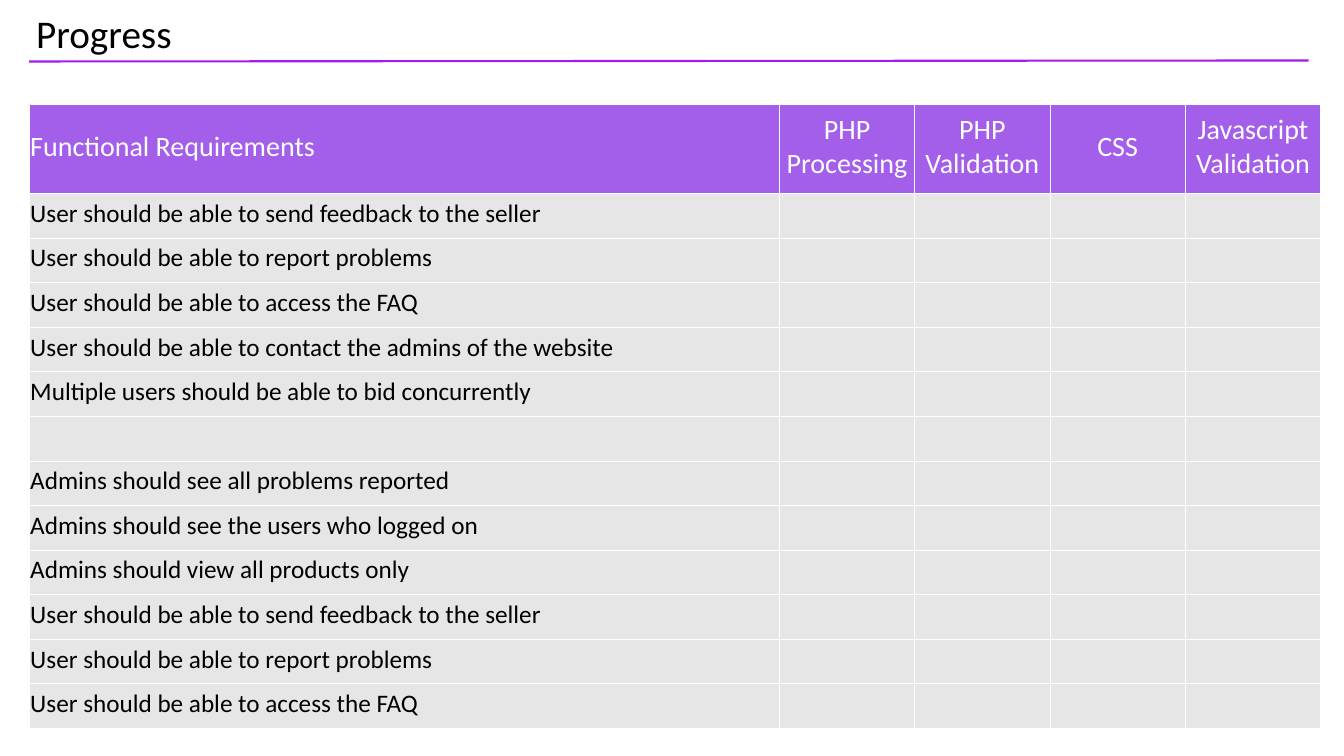
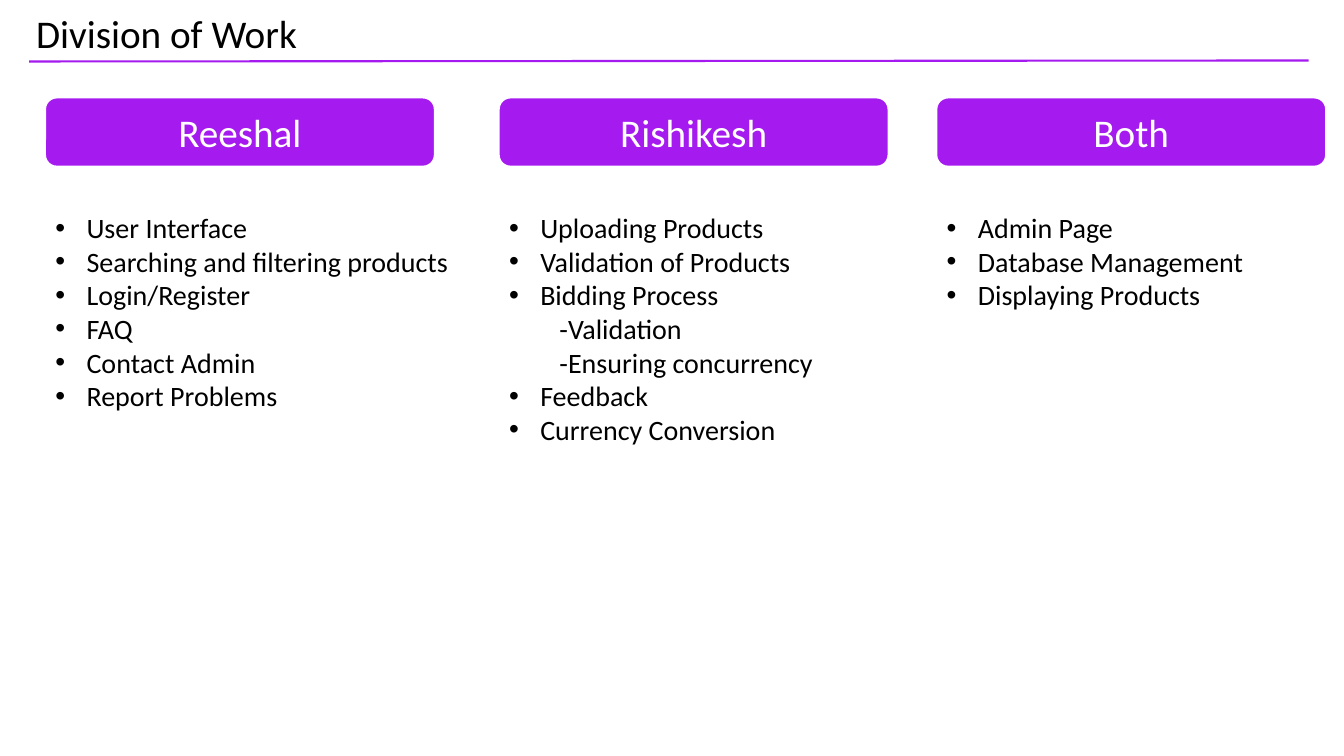
from lxml import etree
from pptx import Presentation
from pptx.dml.color import RGBColor
from pptx.enum.shapes import MSO_CONNECTOR, MSO_SHAPE
from pptx.enum.text import MSO_ANCHOR, MSO_AUTO_SIZE, PP_ALIGN
from pptx.oxml.ns import qn
from pptx.util import Inches, Pt

STRAIGHT = MSO_CONNECTOR.STRAIGHT
ROUNDED = MSO_SHAPE.ROUNDED_RECTANGLE
MIDDLE = MSO_ANCHOR.MIDDLE
GROW = MSO_AUTO_SIZE.SHAPE_TO_FIT_TEXT
LEFT, CENTER = PP_ALIGN.LEFT, PP_ALIGN.CENTER

PURPLE = RGBColor(0xA5, 0x1A, 0xEF)
HEADER_PURPLE = RGBColor(0xA3, 0x5E, 0xEA)
GREY = RGBColor(0xE7, 0xE6, 0xE6)
WHITE = RGBColor(0xFF, 0xFF, 0xFF)
BLACK = RGBColor(0, 0, 0)
FONT = "Calibri"

CELL_FORMAT = {
    "vertical_anchor": MIDDLE,
    "margin_left": Inches(0.01),
    "margin_right": Inches(0.01),
    "margin_top": Inches(0.01),
    "margin_bottom": Inches(0.05),
}
TABLE_FORMAT = {"first_row": True, "horz_banding": False}

HEADERS = ["Functional Requirements", "PHP Processing", "PHP Validation",
           "CSS", "Javascript Validation"]
FEEDBACK = "User should be able to send feedback to the seller"
REPORT = "User should be able to report problems"
FAQ = "User should be able to access the FAQ"
REQUIREMENTS = [
    FEEDBACK, REPORT, FAQ,
    "User should be able to contact the admins of the website",
    "Multiple users should be able to bid concurrently",
    "",
    "Admins should see all problems reported",
    "Admins should see the users who logged on",
    "Admins should view all products only",
    FEEDBACK, REPORT, FAQ,
]

# Left edge, person, tasks; a leading dash marks a sub-task
ASSIGNMENTS = [
    (0.45, "Reeshal", ["User Interface", "Searching and filtering products",
                       "Login/Register", "FAQ", "Contact Admin",
                       "Report Problems"]),
    (4.95, "Rishikesh", ["Uploading Products", "Validation of Products",
                         "Bidding Process", "-Validation",
                         "-Ensuring concurrency", "Feedback",
                         "Currency Conversion"]),
    (9.29, "Both", ["Admin Page", "Database Management",
                    "Displaying Products"]),
]


def apply_format(target, values):
    for name, value in values.items():
        setattr(target, name, value)


def write(paragraph, text, size, color, align=LEFT):
    paragraph.alignment = align
    # An empty paragraph still needs its size for the row height
    font = paragraph.font
    if text:
        run = paragraph.add_run()
        run.text = text
        font = run.font
    apply_format(font, {"name": FONT, "size": Pt(size)})
    font.color.rgb = color


def add_text_box(slide, left, top, width, height):
    box = slide.shapes.add_textbox(Inches(left), Inches(top),
                                   Inches(width), Inches(height))
    apply_format(box.text_frame, {"word_wrap": True, "auto_size": GROW})
    return box.text_frame


def add_titled_slide(deck, title):
    slide = deck.slides.add_slide(deck.slide_layouts[6])
    rule = slide.shapes.add_connector(STRAIGHT, Inches(0.29), Inches(0.61),
                                      Inches(12.98), Inches(0.6))
    rule.line.color.rgb = PURPLE
    rule.line.width = Pt(1.5)
    etree.SubElement(rule._element.spPr, qn("a:effectLst"))
    heading = add_text_box(slide, 0.26, 0.04, 5.26, 0.57)
    write(heading.paragraphs[0], title, 28, BLACK)
    return slide


def add_borders(cell):
    properties = cell._tc.get_or_add_tcPr()
    for side in ("lnL", "lnR", "lnT", "lnB"):
        border = etree.SubElement(properties, qn(f"a:{side}"), w=str(Pt(0.5)))
        fill = etree.SubElement(border, qn("a:solidFill"))
        etree.SubElement(fill, qn("a:srgbClr"), val=str(WHITE))


def fill_cell(cell, text, size, color, background, align):
    apply_format(cell, CELL_FORMAT)
    add_borders(cell)
    cell.fill.solid()
    cell.fill.fore_color.rgb = background
    write(cell.text_frame.paragraphs[0], text, size, color, align)


def add_progress_table(slide):
    width, height = Inches(12.81), Inches(6.2)
    first_width, header_height = Inches(7.44), Inches(0.89)
    rows = [HEADERS]
    rows += [[text] + [""] * (len(HEADERS) - 1) for text in REQUIREMENTS]
    table = slide.shapes.add_table(len(rows), len(HEADERS), Inches(0.29),
                                   Inches(1.03), width, height).table
    apply_format(table, TABLE_FORMAT)

    # Equal status columns and equal requirement rows
    for index, column in enumerate(table.columns):
        column.width = ((width - first_width) // (len(HEADERS) - 1)
                        if index else first_width)
    for index, row in enumerate(table.rows):
        row.height = ((height - header_height) // len(REQUIREMENTS)
                      if index else header_height)

    for r, texts in enumerate(rows):
        style = (18, BLACK, GREY) if r else (20, WHITE, HEADER_PURPLE)
        for c, text in enumerate(texts):
            fill_cell(table.cell(r, c), text, *style, CENTER if c else LEFT)


def add_name_banner(slide, left, name):
    banner = slide.shapes.add_shape(ROUNDED, Inches(left), Inches(0.97),
                                    Inches(3.86), Inches(0.68))
    banner.shadow.inherit = False
    banner.fill.solid()
    banner.fill.fore_color.rgb = PURPLE
    banner.line.color.rgb = WHITE
    banner.line.width = Pt(1)
    banner.text_frame.vertical_anchor = MIDDLE
    write(banner.text_frame.paragraphs[0], name, 28, WHITE, CENTER)


def set_indent(paragraph, margin, indent):
    properties = paragraph._p.get_or_add_pPr()
    properties.set("marL", str(Inches(margin)))
    properties.set("indent", str(Inches(indent)))
    return properties


def add_task_list(slide, left, tasks):
    line_height, padding = 0.33, 0.1
    frame = add_text_box(slide, left, 2.04, 4.15,
                         line_height * len(tasks) + padding)
    for index, task in enumerate(tasks):
        paragraph = frame.add_paragraph() if index else frame.paragraphs[0]
        write(paragraph, task, 20, BLACK)
        if task.startswith("-"):
            paragraph.level = 1
            set_indent(paragraph, 0.5, 0)
        else:
            properties = set_indent(paragraph, 0.31, -0.31)
            etree.SubElement(properties, qn("a:buFont"), typeface="Arial")
            etree.SubElement(properties, qn("a:buChar"), char="•")


def main():
    deck = Presentation()
    deck.slide_width, deck.slide_height = Inches(13.33), Inches(7.5)

    # Progress
    add_progress_table(add_titled_slide(deck, "Progress"))

    # Division of work
    division = add_titled_slide(deck, "Division of Work")
    for left, person, tasks in ASSIGNMENTS:
        add_name_banner(division, left, person)
        add_task_list(division, left, tasks)

    deck.save("out.pptx")


main()
